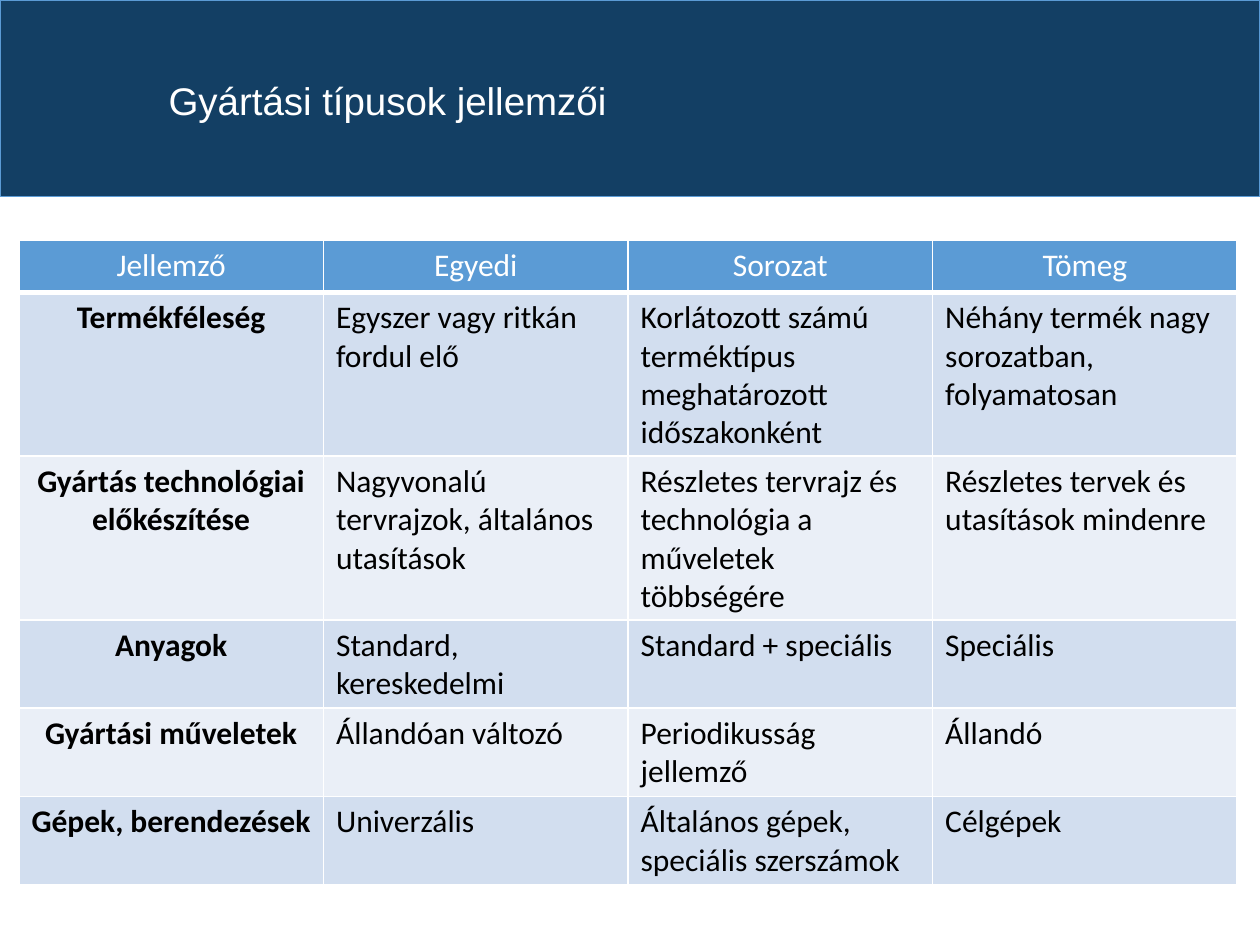
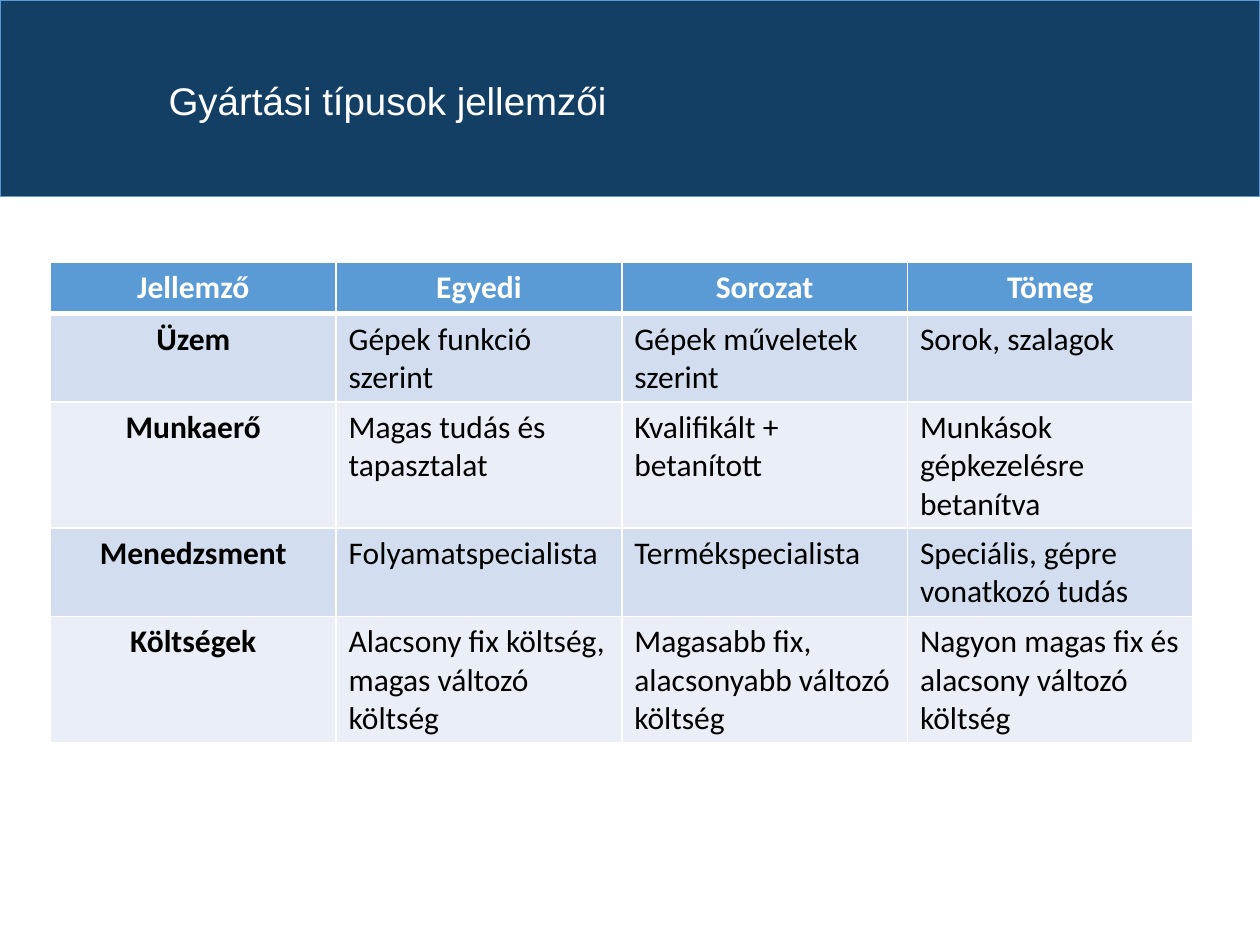
import pptx
import pptx.util
import pptx.dml.color
import pptx.enum.shapes
import pptx.enum.text
import pptx.oxml.ns
from dataclasses import dataclass
from lxml import etree

Inches = pptx.util.Inches
Pt = pptx.util.Pt


@dataclass(frozen=True)
class Theme:
    band: str = "133F64"
    accent: str = "5B9BD5"
    white: str = "FFFFFF"
    text: str = "000000"
    stripes: tuple = ("D2DEEF", "EAEFF7")
    title_font: str = "Arial"
    table_font: str = "Calibri"
    title_size: int = 22
    table_size: int = 18


theme = Theme()


def add_run(p, text, font, size, color, bold=False):
    r = p.add_run()
    r.text = text
    r.font.name = font
    r.font.size = Pt(size)
    r.font.bold = bold
    r.font.color.rgb = pptx.dml.color.RGBColor.from_string(color)


def style_cell(cell, fill, bottom_width):
    tc_pr = cell._tc.get_or_add_tcPr()
    qn = pptx.oxml.ns.qn
    for side, width in (("L", 1), ("R", 1), ("T", 1), ("B", bottom_width)):
        ln = etree.SubElement(tc_pr, qn(f"a:ln{side}"), w=str(Pt(width)))
        solid = etree.SubElement(ln, qn("a:solidFill"))
        etree.SubElement(solid, qn("a:srgbClr"), val=theme.white)
    cell.fill.solid()
    cell.fill.fore_color.rgb = pptx.dml.color.RGBColor.from_string(fill)


# Content
title = "Gyártási típusok jellemzői"
header = ("Jellemző", "Egyedi", "Sorozat", "Tömeg")
row_height = 0.41
slides = [
    {
        "left": 0.15, "top": 1.91, "width": 9.67, "bold_header": False,
        "rows": [
            ("Termékféleség", "Egyszer vagy ritkán fordul elő",
             "Korlátozott számú terméktípus meghatározott időszakonként",
             "Néhány termék nagy sorozatban, folyamatosan"),
            ("Gyártás technológiai előkészítése",
             "Nagyvonalú tervrajzok, általános utasítások",
             "Részletes tervrajz és technológia a műveletek többségére",
             "Részletes tervek és utasítások mindenre"),
            ("Anyagok", "Standard, kereskedelmi", "Standard + speciális", "Speciális"),
            ("Gyártási műveletek", "Állandóan változó", "Periodikusság jellemző", "Állandó"),
            ("Gépek, berendezések", "Univerzális",
             "Általános gépek, speciális szerszámok", "Célgépek"),
        ],
    },
    {
        "left": 0.4, "top": 2.08, "width": 9.07, "bold_header": True,
        "rows": [
            ("Üzem", "Gépek funkció szerint", "Gépek műveletek szerint", "Sorok, szalagok"),
            ("Munkaerő", "Magas tudás és tapasztalat", "Kvalifikált + betanított",
             "Munkások gépkezelésre betanítva"),
            ("Menedzsment", "Folyamatspecialista", "Termékspecialista",
             "Speciális, gépre vonatkozó tudás"),
            ("Költségek", "Alacsony fix költség, magas változó költség",
             "Magasabb fix, alacsonyabb változó költség",
             "Nagyon magas fix és alacsony változó költség"),
        ],
    },
]

prs = pptx.Presentation()
prs.slide_width = Inches(10)
prs.slide_height = Inches(7.5)

for content in slides:
    s = prs.slides.add_slide(prs.slide_layouts[6])

    # Title band
    sp = s.shapes.add_shape(pptx.enum.shapes.MSO_SHAPE.RECTANGLE,
                            0, 0, prs.slide_width, Inches(1.56))
    sp.shadow.inherit = False
    sp.fill.solid()
    sp.fill.fore_color.rgb = pptx.dml.color.RGBColor.from_string(theme.band)
    sp.line.color.rgb = pptx.dml.color.RGBColor.from_string(theme.accent)
    sp.line.width = Pt(0.5)

    # Title
    sp = s.shapes.add_textbox(Inches(1.24), Inches(0.4), Inches(8.07), Inches(0.84))
    tf = sp.text_frame
    tf.word_wrap = True
    tf.vertical_anchor = pptx.enum.text.MSO_ANCHOR.MIDDLE
    p = tf.paragraphs[0]
    p.line_spacing = 0.9
    add_run(p, title, theme.title_font, theme.title_size, theme.white)

    # Table: header row, then striped rows with a bold first column
    rows = [header] + content["rows"]
    table = s.shapes.add_table(
        len(rows), len(header), Inches(content["left"]), Inches(content["top"]),
        Inches(content["width"]), Inches(row_height * len(rows))).table
    for i, row in enumerate(rows):
        table.rows[i].height = Inches(row_height)
        is_header = i == 0
        fill = theme.accent if is_header else theme.stripes[(i - 1) % 2]
        color = theme.white if is_header else theme.text
        for j, text in enumerate(row):
            cell = table.cell(i, j)
            style_cell(cell, fill, 3 if is_header else 1)
            p = cell.text_frame.paragraphs[0]
            if is_header or j == 0:
                p.alignment = pptx.enum.text.PP_ALIGN.CENTER
            bold = content["bold_header"] if is_header else j == 0
            add_run(p, text, theme.table_font, theme.table_size, color, bold)

prs.save("out.pptx")
